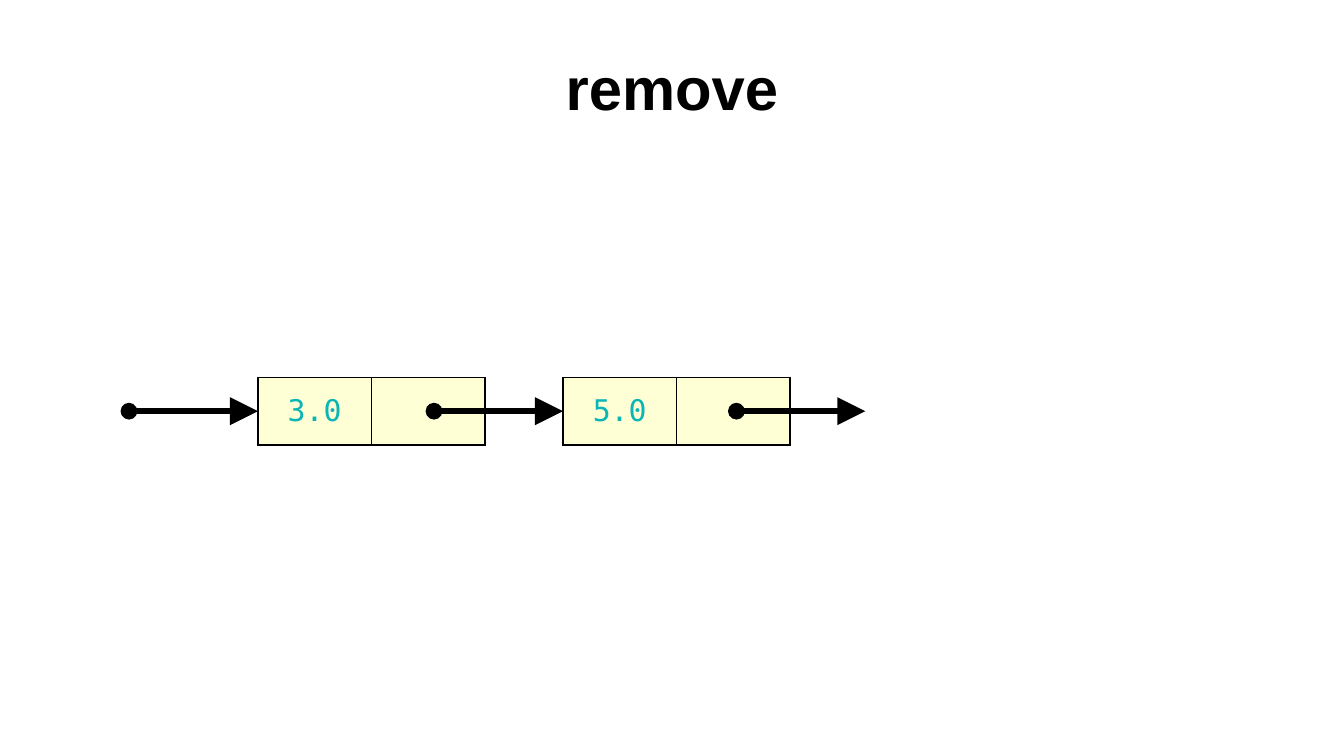
from lxml.etree import SubElement
from pptx import Presentation
from pptx.dml.color import RGBColor
from pptx.enum.shapes import MSO_CONNECTOR as Connector
from pptx.enum.text import MSO_ANCHOR as Anchor, PP_ALIGN as Align
from pptx.oxml.ns import qn
from pptx.util import Pt

BLACK = RGBColor(0x00, 0x00, 0x00)
CREAM = RGBColor(0xFF, 0xFF, 0xD6)
TEAL = RGBColor(0x0C, 0xB5, 0xB5)

CELL_WIDTH, NODE_HEIGHT = 60.75, 36
POINTER_LENGTH = 69.1
NODE_PITCH = 163.4


def add_run(paragraph, text, font_name, size, color, bold=False):
    paragraph.alignment = Align.CENTER
    run = paragraph.add_run()
    run.text = text
    run.font.name = font_name
    run.font.size = Pt(size)
    run.font.bold = bold
    run.font.color.rgb = color


def place_title(slide, text, left, top, width, height):
    title = slide.shapes.title
    title.left, title.top = Pt(left), Pt(top)
    title.width, title.height = Pt(width), Pt(height)
    title.text_frame.vertical_anchor = Anchor.MIDDLE
    add_run(title.text_frame.paragraphs[0], text, "Arial", 32, BLACK, bold=True)


def outline_cell(cell):
    properties = cell._tc.get_or_add_tcPr()
    for position, side in enumerate(("a:lnL", "a:lnR", "a:lnT", "a:lnB")):
        border = properties.makeelement(qn(side), {"w": str(Pt(1))})
        fill = SubElement(border, qn("a:solidFill"))
        SubElement(fill, qn("a:srgbClr"), val=str(BLACK))
        properties.insert(position, border)


def add_node(slide, value, left, top):
    """Draw a list node: a value cell and a cell for the next pointer."""
    node = slide.shapes.add_table(
        1, 2, Pt(left), Pt(top), Pt(2 * CELL_WIDTH), Pt(NODE_HEIGHT)
    ).table
    for column in node.columns:
        column.width = Pt(CELL_WIDTH)
    for cell in node.iter_cells():
        cell.fill.solid()
        cell.fill.fore_color.rgb = CREAM
        cell.vertical_anchor = Anchor.MIDDLE
        outline_cell(cell)
    value_paragraph = node.cell(0, 0).text_frame.paragraphs[0]
    add_run(value_paragraph, value, "DejaVu Sans Mono", 16, TEAL)


def add_pointer(slide, left, middle):
    pointer = slide.shapes.add_connector(
        Connector.STRAIGHT,
        Pt(left), Pt(middle), Pt(left + POINTER_LENGTH), Pt(middle),
    )
    pointer.line.color.rgb = BLACK
    pointer.line.width = Pt(3)
    line = pointer.line._get_or_add_ln()
    SubElement(line, qn("a:headEnd"), type="oval", w="med", len="med")
    SubElement(line, qn("a:tailEnd"), type="triangle", w="lg", len="lg")
    SubElement(pointer._element.spPr, qn("a:effectLst"))


def add_linked_list(slide, values, left, top):
    """Draw the head pointer, then each node with its next pointer."""
    middle = top + NODE_HEIGHT / 2
    first_node = left + POINTER_LENGTH
    add_pointer(slide, left, middle)
    for index, value in enumerate(values):
        node_left = first_node + index * NODE_PITCH
        add_node(slide, value, node_left, top)
    for index in range(len(values)):
        is_last = index == len(values) - 1
        pointer_left = left + (index + 1) * NODE_PITCH - (1.4 if is_last else 0)
        add_pointer(slide, pointer_left, middle)


def main():
    presentation = Presentation()
    presentation.slide_width, presentation.slide_height = Pt(720), Pt(405)
    slide = presentation.slides.add_slide(presentation.slide_layouts[5])
    place_title(slide, "remove", 36, 20.2, 648, 52.6)
    add_linked_list(slide, ("3.0", "5.0"), 69.1, 202.3)
    presentation.save("out.pptx")


if __name__ == "__main__":
    main()
